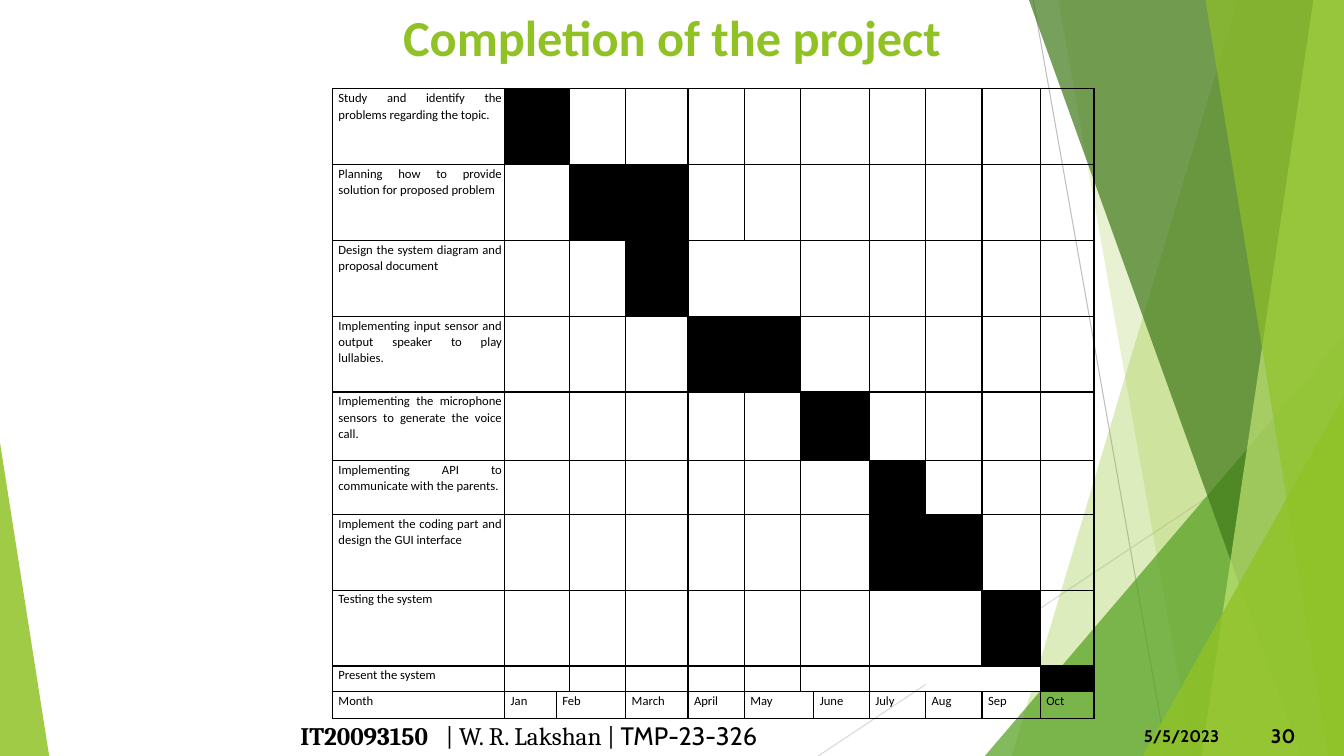
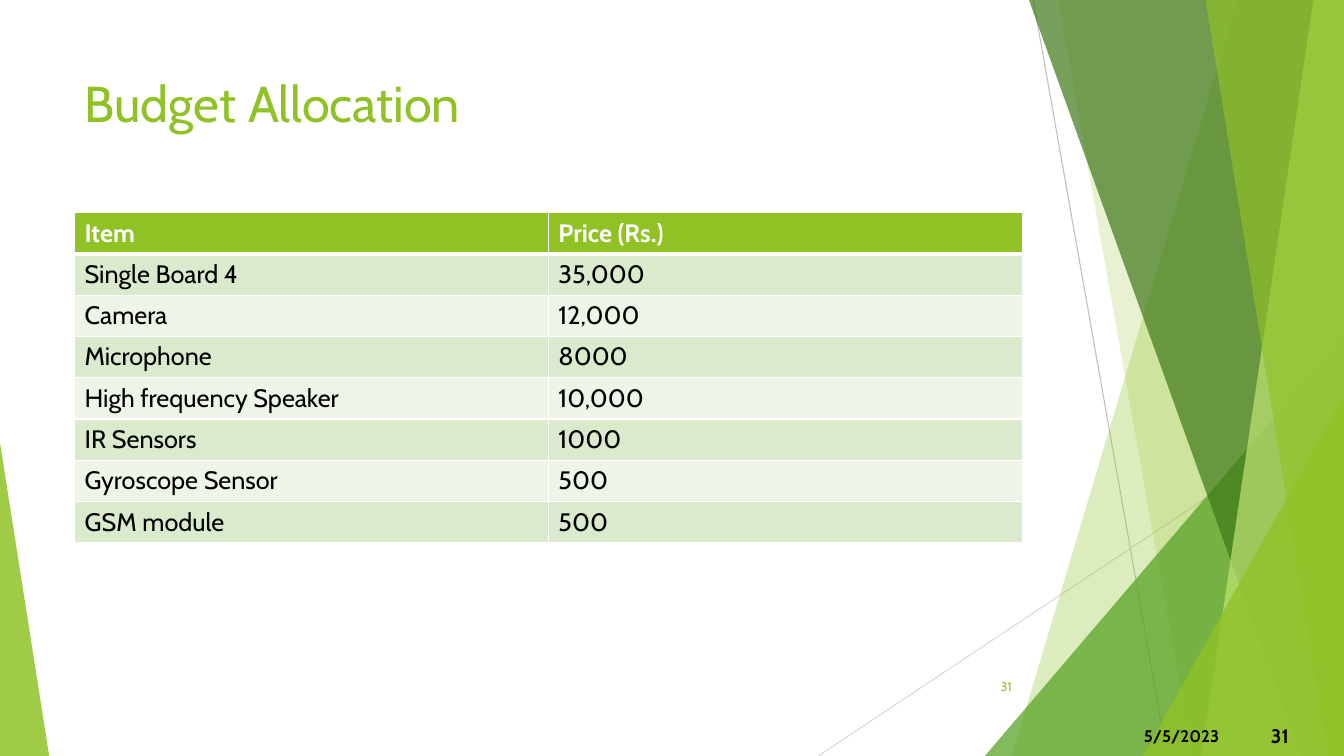
import dataclasses
import typing

import lxml.etree
import pptx
import pptx.dml.color
import pptx.enum.shapes
import pptx.enum.text
import pptx.oxml.ns
import pptx.presentation
import pptx.shapes.base
import pptx.shapes.connector
import pptx.slide
import pptx.table
import pptx.text.text
import pptx.util

Cm = pptx.util.Cm
Pt = pptx.util.Pt
qn = pptx.oxml.ns.qn
Align = pptx.enum.text.PP_ALIGN
Anchor = pptx.enum.text.MSO_ANCHOR


@dataclasses.dataclass(frozen=True)
class Theme:
    green: str = "90C226"
    leaf: str = "54A021"
    forest: str = "3F7819"
    lime: str = "C0E474"
    black: str = "000000"
    white: str = "FFFFFF"
    row_dark: str = "DBE9CD"
    row_light: str = "EEF4E8"
    line_dark: str = "BFBFBF"
    line_light: str = "D9D9D9"
    body_font: str = "Cabin"
    chart_font: str = "Calibri"
    footer_font: str = "Cambria"
    title_size: int = 36
    text_size: int = 18
    number_size: int = 14
    date_size: int = 12
    small_size: int = 9


THEME = Theme()
WIDTH, HEIGHT = 33.87, 19.05


class Box(typing.NamedTuple):
    left: float
    top: float
    width: float
    height: float

    def lengths(self) -> list[pptx.util.Length]:
        return [Cm(value) for value in self]


class Ray(typing.NamedTuple):
    start: tuple[float, float]
    end: tuple[float, float]
    color: str


class Band(typing.NamedTuple):
    top_x: float
    bottom_x: float
    color: str
    opacity: int


class Wedge(typing.NamedTuple):
    box: Box
    apex: float
    color: str
    opacity: int


class Task(typing.NamedTuple):
    name: str
    height: float
    first: int
    last: int
    joined: tuple[int, ...] = ()


RAYS = (
    Ray((26.04, 0), (29.41, HEIGHT), THEME.line_dark),
    Ray((WIDTH, 10.24), (20.62, HEIGHT), THEME.line_light),
)
FACETS = (
    Band(31.19, 25.5, THEME.green, 30),
    Band(26.67, 30.05, THEME.green, 20),
    Wedge(Box(24.82, 8.46, 9.05, 10.59), 1, THEME.leaf, 72),
    Band(25.93, 32.79, THEME.forest, 70),
    Band(33.1, 30.28, THEME.lime, 70),
    Band(30.38, 33.48, THEME.green, 65),
    Wedge(Box(28.8, 9.98, 5.07, 9.07), 1, THEME.green, 80),
    Wedge(Box(0, 11.15, 1.24, 7.9), 0, THEME.green, 85),
)
TASKS = (
    Task("Study and identify the problems regarding the topic.", 1.91, 0, 0),
    Task("Planning how to provide solution for proposed problem", 1.91, 1, 2),
    Task("Design the system diagram and proposal document", 1.91, 2, 2, (4,)),
    Task("Implementing input sensor and output speaker to play lullabies.", 1.91, 3, 4),
    Task("Implementing the microphone sensors to generate the voice call.", 1.73, 5, 5),
    Task("Implementing API to communicate with the parents.", 1.35, 6, 6),
    Task("Implement the coding part and design the GUI interface", 1.91, 6, 7),
    Task("Testing the system", 1.91, 8, 8, (7,)),
    Task("Present the system", 0.64, 9, 9, (7, 8)),
)
MONTHS = ("Jan", "Feb", "March", "April", "May", "June", "July", "Aug", "Sep", "Oct")
GANTT_WIDTHS = (4.34, 1.3, 0.33, 1.42, 1.57, 1.42, 1.42, 0.33, 1.4, 1.42, 1.42, 1.47, 1.35)
TASK_COLUMNS = (1, 3, 4, 5, 6, 7, 9, 10, 11, 12)
LABEL_COLUMNS = (1, 2, 4, 5, 6, 8, 9, 10, 11, 12)
BUDGET = (
    ("Item", "Price (Rs.)"),
    ("Single Board 4", "35,000"),
    ("Camera", "12,000"),
    ("Microphone", "8000"),
    ("High frequency Speaker", "10,000"),
    ("IR Sensors", "1000"),
    ("Gyroscope Sensor", "500"),
    ("GSM module", "500"),
)


def rgb(color: str) -> pptx.dml.color.RGBColor:
    return pptx.dml.color.RGBColor.from_string(color)


def set_font(font: pptx.text.text.Font, size: int, color: str, bold: bool = False,
             name: str = THEME.body_font) -> None:
    font.name, font.size, font.bold = name, Pt(size), bold
    font.color.rgb = rgb(color)


def paint(shape: pptx.shapes.base.BaseShape, color: str, opacity: int) -> None:
    shape.shadow.inherit = False
    shape.line.fill.background()
    shape.fill.solid()
    shape.fill.fore_color.rgb = rgb(color)
    fill_color = shape.element.xpath("./p:spPr/a:solidFill/a:srgbClr")[0]
    lxml.etree.SubElement(fill_color, qn("a:alpha"), val=str(opacity * 1000))


def draw_ray(slide: pptx.slide.Slide, ray: Ray) -> None:
    ends = [Cm(value) for value in (*ray.start, *ray.end)]
    connector = slide.shapes.add_connector(pptx.enum.shapes.MSO_CONNECTOR.STRAIGHT, *ends)
    connector.line.color.rgb = rgb(ray.color)
    connector.line.width = Pt(0.75)
    lxml.etree.SubElement(connector.element.xpath("./p:spPr")[0], qn("a:effectLst"))


def draw_band(slide: pptx.slide.Slide, band: Band) -> None:
    corners = [(band.top_x, 0), (WIDTH, 0), (WIDTH, HEIGHT), (band.bottom_x, HEIGHT)]
    points = [(Cm(x), Cm(y)) for x, y in corners]
    builder = slide.shapes.build_freeform(*points[0])
    builder.add_line_segments(points[1:], close=True)
    paint(builder.convert_to_shape(), band.color, band.opacity)


def draw_wedge(slide: pptx.slide.Slide, wedge: Wedge) -> None:
    shape = slide.shapes.add_shape(
        pptx.enum.shapes.MSO_SHAPE.ISOSCELES_TRIANGLE, *wedge.box.lengths())
    shape.adjustments[0] = wedge.apex
    paint(shape, wedge.color, wedge.opacity)


def add_text_box(slide: pptx.slide.Slide, box: Box,
                 anchor: Anchor = Anchor.MIDDLE) -> pptx.text.text._Paragraph:
    frame = slide.shapes.add_textbox(*box.lengths()).text_frame
    frame.word_wrap = True
    frame.vertical_anchor = anchor
    return frame.paragraphs[0]


def build_layout(slide: pptx.slide.Slide) -> None:
    for ray in RAYS:
        draw_ray(slide, ray)
    for facet in FACETS:
        if isinstance(facet, Band):
            draw_band(slide, facet)
        else:
            draw_wedge(slide, facet)
    date = add_text_box(slide, Box(28.58, 18.16, 2.97, 0.76), Anchor.TOP)
    date.text = "5/5/2023"
    set_font(date.font, THEME.date_size, THEME.black, bold=True)
    shared = [shape for shape in slide.shapes if not shape.is_placeholder]
    for identifier, shape in enumerate(shared, start=100):
        shape.element.xpath("./*/p:cNvPr")[0].set("id", str(identifier))
        slide.slide_layout.shapes.element.append(shape.element)


def set_title(slide: pptx.slide.Slide, text: str, box: Box, align: Align,
              font: str, bold: bool) -> None:
    title = slide.shapes.title
    title.left, title.top, title.width, title.height = box.lengths()
    frame = title.text_frame
    frame.text = text
    frame.word_wrap = True
    frame.auto_size = pptx.enum.text.MSO_AUTO_SIZE.NONE
    frame.vertical_anchor = Anchor.TOP
    frame.paragraphs[0].alignment = align
    set_font(frame.paragraphs[0].font, THEME.title_size, THEME.green, bold, font)


def add_page_number(slide: pptx.slide.Slide, number: int) -> None:
    paragraph = add_text_box(slide, Box(31.78, 18.03, 1.88, 1.02))
    paragraph.text = str(number)
    set_font(paragraph.font, THEME.number_size, THEME.black, bold=True)


def set_border(cell: pptx.table._Cell, color: str, hidden: str = "",
               **widths: float) -> None:
    properties = cell._tc.get_or_add_tcPr()
    for side in "LRTB":
        width = Pt(widths.get(side, 1))
        line = lxml.etree.SubElement(properties, qn(f"a:ln{side}"), w=str(width))
        if side in hidden:
            lxml.etree.SubElement(line, qn("a:noFill"))
        else:
            fill = lxml.etree.SubElement(line, qn("a:solidFill"))
            lxml.etree.SubElement(fill, qn("a:srgbClr"), val=color)


def fill_cell(cell: pptx.table._Cell, color: str) -> None:
    cell.fill.solid()
    cell.fill.fore_color.rgb = rgb(color)


def add_table(slide: pptx.slide.Slide, box: Box, widths: typing.Sequence[float],
              heights: typing.Sequence[float]) -> pptx.table.Table:
    table = slide.shapes.add_table(len(heights), len(widths), *box.lengths()).table
    table.first_row = table.horz_banding = False
    for column, width in zip(table.columns, widths):
        column.width = Cm(width)
    for row, height in zip(table.rows, heights):
        row.height = Cm(height)
    return table


def write_gantt_cell(cell: pptx.table._Cell, text: str) -> None:
    cell.margin_left, cell.margin_right = Cm(0.15), Cm(0.08)
    cell.margin_top, cell.margin_bottom = Cm(0.02), 0
    paragraph = cell.text_frame.paragraphs[0]
    if not text:
        size = str(THEME.small_size * 100)
        lxml.etree.SubElement(paragraph._p, qn("a:endParaRPr"), sz=size)
        return
    paragraph.text = text
    paragraph.alignment = Align.JUSTIFY
    paragraph.line_spacing = 1.07
    paragraph.space_after = Pt(8)
    set_font(paragraph.font, THEME.small_size, THEME.black, name=THEME.chart_font)


def draw_gantt(slide: pptx.slide.Slide) -> None:
    heights = [task.height for task in TASKS] + [0.69]
    box = Box(8.38, 2.24, sum(GANTT_WIDTHS), sum(heights))
    table = add_table(slide, box, GANTT_WIDTHS, heights)
    texts = {(row, 0): task.name for row, task in enumerate(TASKS)}
    texts[len(TASKS), 0] = "Month"
    texts.update({(len(TASKS), column): month for column, month in zip(LABEL_COLUMNS, MONTHS)})
    for row in range(len(heights)):
        joined = TASKS[row].joined if row < len(TASKS) else ()
        joined_columns = [TASK_COLUMNS[month] for month in joined]
        for column in range(len(GANTT_WIDTHS)):
            cell = table.cell(row, column)
            hidden = "L" * (column in joined_columns) + "R" * (column + 1 in joined_columns)
            set_border(cell, THEME.black, hidden)
            cell.fill.background()
            write_gantt_cell(cell, texts.get((row, column), ""))
        spans = (1, 7) if row < len(TASKS) else (2, 6)
        for column in spans:
            table.cell(row, column).merge(table.cell(row, column + 1))
        for column in joined_columns:
            fill_cell(table.cell(row, column), THEME.white)
    for row, task in enumerate(TASKS):
        for month in range(task.first, task.last + 1):
            fill_cell(table.cell(row, TASK_COLUMNS[month]), THEME.black)


def draw_budget(slide: pptx.slide.Slide) -> None:
    heights = [1.04] * len(BUDGET)
    table = add_table(slide, Box(1.88, 5.36, 23.88, sum(heights)), (11.94, 11.94), heights)
    for row, values in enumerate(BUDGET):
        header = row == 0
        band = THEME.green if header else (THEME.row_light, THEME.row_dark)[row % 2]
        for column, value in enumerate(values):
            cell = table.cell(row, column)
            set_border(cell, THEME.white, T=3 if row == 1 else 1, B=3 if header else 1)
            fill_cell(cell, band)
            paragraph = cell.text_frame.paragraphs[0]
            paragraph.text = value
            set_font(paragraph.font, THEME.text_size,
                     THEME.white if header else THEME.black, header)


def add_author(slide: pptx.slide.Slide) -> None:
    paragraph = add_text_box(slide, Box(7.32, 18.03, 18.92, 1.02))
    tabs = lxml.etree.SubElement(paragraph._p.get_or_add_pPr(), qn("a:tabLst"))
    lxml.etree.SubElement(tabs, qn("a:tab"), pos=str(Cm(3.66)), algn="l")
    for text, font, bold in (
        ("IT20093150", THEME.footer_font, True),
        ("\t| W. R. Lakshan | ", THEME.footer_font, False),
        ("TMP-23-326", THEME.body_font, False),
    ):
        run = paragraph.add_run()
        run.text = text
        set_font(run.font, THEME.text_size, THEME.black, bold, font)


def main() -> None:
    presentation = pptx.Presentation()
    presentation.slide_width, presentation.slide_height = Cm(WIDTH), Cm(HEIGHT)
    layout = presentation.slide_layouts[5]
    schedule = presentation.slides.add_slide(layout)
    build_layout(schedule)
    set_title(schedule, "Completion of the project", Box(0.71, 0.03, 32.46, 2.21),
              Align.CENTER, THEME.chart_font, True)
    draw_gantt(schedule)
    add_author(schedule)
    add_page_number(schedule, 30)

    budget = presentation.slides.add_slide(layout)
    set_title(budget, "Budget Allocation", Box(1.88, 1.7, 23.88, 3.66),
              Align.LEFT, THEME.body_font, False)
    draw_budget(budget)
    corner_number = add_text_box(budget, Box(23.85, 16.79, 1.9, 1.02))
    corner_number.text = "31"
    corner_number.alignment = Align.RIGHT
    set_font(corner_number.font, THEME.small_size, THEME.green)
    add_page_number(budget, 31)
    presentation.save("out.pptx")


if __name__ == "__main__":
    main()
